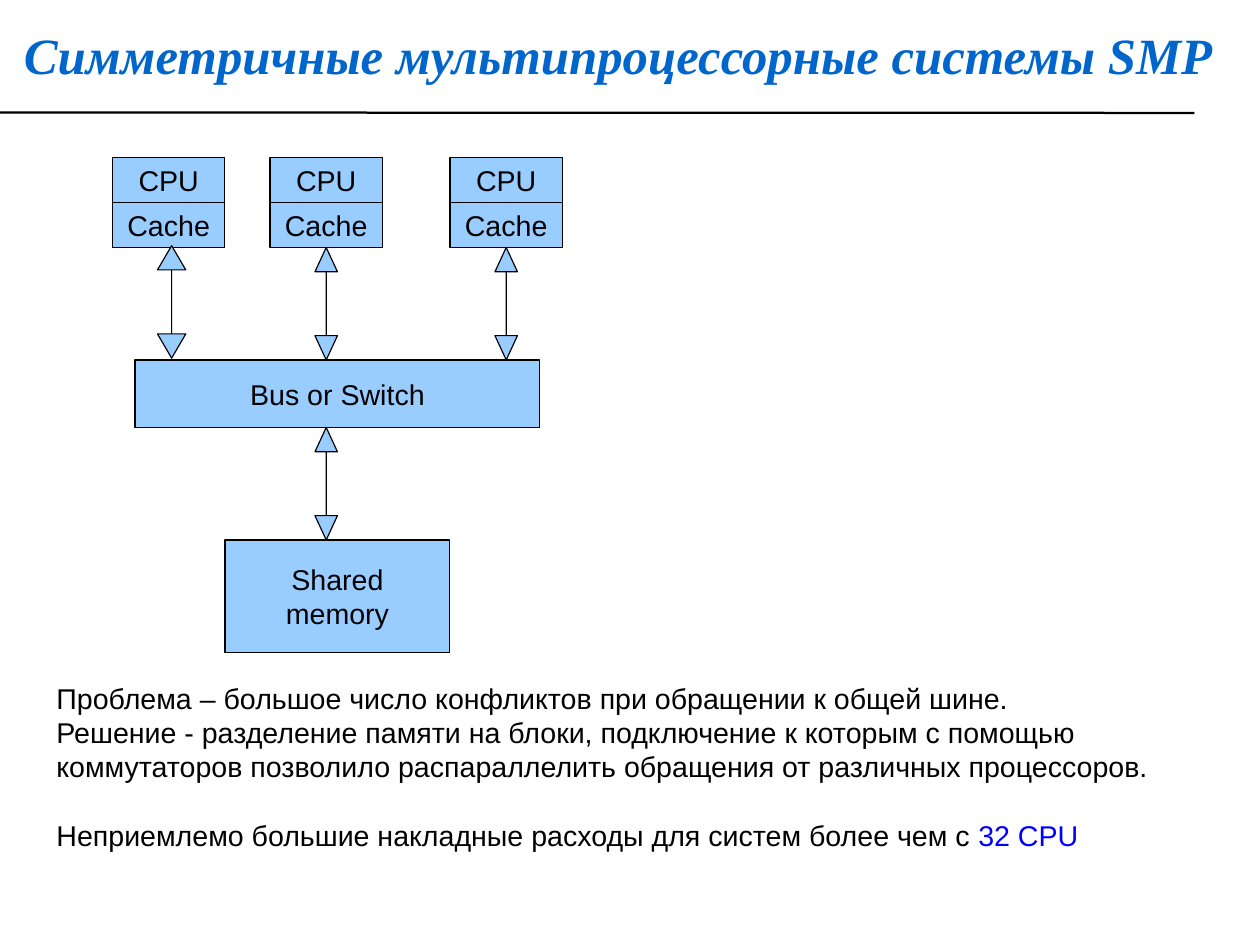
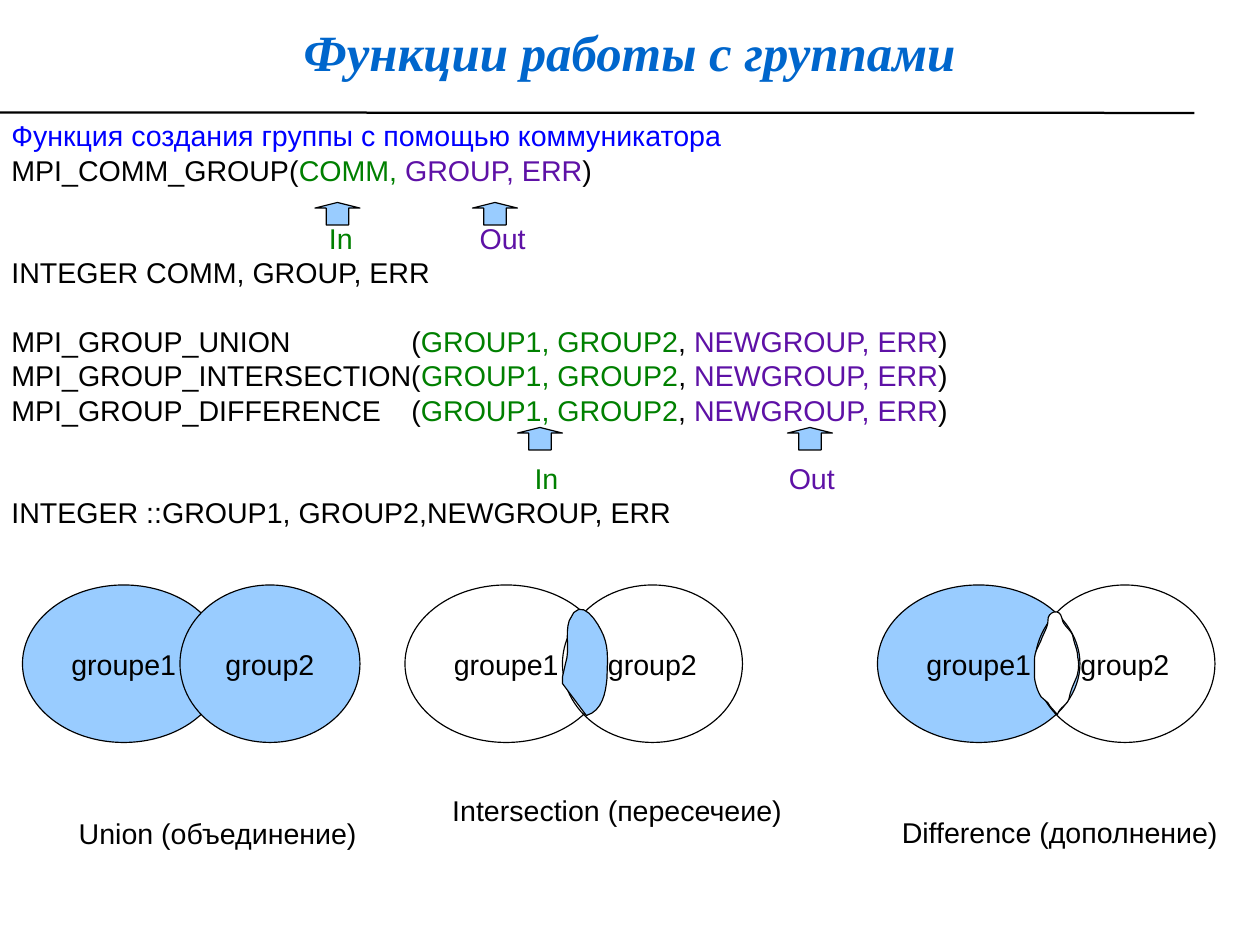
from lxml import etree
from pptx import Presentation
from pptx import util as u
from pptx.dml import color as dml
from pptx.enum import shapes as es, text as et
from pptx.oxml import ns

COLORS = {"title": "0066CC", "fill": "99CCFF", "ink": "000000", "paper": "FFFFFF",
          "accent": "0000FF", "input": "008000", "output": "5E11A6"}
BODY_FONT, TITLE_FONT = "Arial", "Times New Roman"
BODY_SIZE, TITLE_SIZE = 18, 32
LINE_GAP = 21.6
TAB_STEP = 1.27
SHAPE = es.MSO_SHAPE

INTERSECTION_LENS = (
    (4.03, 2.9),
    [((4.39, 2.8), (4.46, 2.39), (4.49, 2.06)),
     ((4.49, 1.76), (4.54, 1.43), (4.41, 1.12)),
     ((4.31, 0.87), (3.9, 0.16), (3.65, 0.79)),
     ((3.55, 1.1), (3.67, 1.43), (3.57, 1.73))],
    [(3.5, 2.04), (3.5, 2.19)])
DIFFERENCE_LENS = (
    (4, 2.88),
    [((4.05, 2.7), (4.25, 2.67), (4.27, 2.47)),
     ((4.3, 2.32), (4.38, 2.16), (4.43, 2.04)),
     ((4.48, 1.88), (4.48, 1.73), (4.45, 1.6)),
     ((4.45, 1.45), (4.38, 1.33), (4.35, 1.17)),
     ((4.33, 1), (4.12, 0.92), (4.1, 0.74)),
     ((4.05, 0.49), (3.77, 0.61), (3.79, 0.79)),
     ((3.79, 0.94), (3.69, 1.07), (3.64, 1.22)),
     ((3.59, 1.35), (3.49, 1.48), (3.49, 1.66)),
     ((3.49, 1.78), (3.49, 1.94), (3.49, 2.06)),
     ((3.51, 2.21), (3.56, 2.37), (3.64, 2.49))],
    [(3.79, 2.62), (3.84, 2.7)])


def rgb(name):
    return dml.RGBColor.from_string(COLORS[name])


def cm(*lengths):
    return [u.Cm(length) for length in lengths]


def style_font(font, size, name, color):
    font.size = u.Pt(size)
    font.name = name
    font.color.rgb = rgb(color)


def write_lines(shape, lines, align=et.PP_ALIGN.LEFT):
    frame = shape.text_frame
    for index, (spans, gap) in enumerate(lines):
        para = frame.paragraphs[0] if index == 0 else frame.add_paragraph()
        props = para._p.get_or_add_pPr()
        props.set("marL", "0")
        props.set("indent", "0")
        props.set("defTabSz", str(int(u.Cm(TAB_STEP))))
        etree.SubElement(props, ns.qn("a:buNone"))
        para.alignment = align
        para.line_spacing = 1.0
        para.space_before = u.Pt(gap)
        for words, color in spans:
            span = para.add_run()
            span.text = words
            style_font(span.font, BODY_SIZE, BODY_FONT, color)


def plain(words, color="ink", gap=0):
    return [(words, color)], gap


def add_figure(page, kind, box, fill="fill", label=""):
    return finish(page.shapes.add_shape(kind, *cm(*box)), fill, label)


def finish(shape, fill, label=""):
    shape.shadow.inherit = False
    if fill:
        shape.fill.solid()
        shape.fill.fore_color.rgb = rgb(fill)
    else:
        shape.fill.background()
    shape.line.color.rgb = rgb("ink")
    shape.line.width = u.Pt(0.75)
    if label:
        shape.text_frame.word_wrap = False
        shape.text_frame.vertical_anchor = et.MSO_ANCHOR.MIDDLE
        write_lines(shape, [plain(line) for line in label.split("\n")], et.PP_ALIGN.CENTER)
    return shape


def add_note(page, left, top, width, words, color="ink"):
    note = page.shapes.add_textbox(*cm(left, top, width, 1.02))
    note.text_frame.word_wrap = False
    write_lines(note, [plain(words, color)])


def add_page(deck, heading, left, top):
    page = deck.slides.add_slide(deck.slide_layouts[1])
    title = page.shapes.title
    title.left, title.top, title.width, title.height = cm(left, top, 27.5, 2.08)
    frame = title.text_frame
    frame.text = heading
    frame.auto_size = et.MSO_AUTO_SIZE.NONE
    frame.vertical_anchor = et.MSO_ANCHOR.MIDDLE
    frame.margin_left = frame.margin_right = frame.margin_top = frame.margin_bottom = 0
    para = frame.paragraphs[0]
    para.alignment = et.PP_ALIGN.CENTER
    para.line_spacing = 1.16
    font = para.runs[0].font
    style_font(font, TITLE_SIZE, TITLE_FONT, "title")
    font.bold = font.italic = True

    rule = page.shapes.add_connector(es.MSO_CONNECTOR.STRAIGHT, *cm(0, 2.5, 26.54, 2.51))
    rule.line.color.rgb = rgb("ink")
    rule.line.width = u.Pt(1.42)
    etree.SubElement(rule._element.spPr, ns.qn("a:effectLst"))
    return page


def fill_body(page, box, lines):
    body = page.placeholders[1]
    body.left, body.top, body.width, body.height = cm(*box)
    body.text_frame.auto_size = et.MSO_AUTO_SIZE.NONE
    write_lines(body, lines)


def add_double_arrow(page, left, top, width=0.5):
    arrow = add_figure(page, SHAPE.UP_DOWN_ARROW, (left, top, width, 2.5))
    guides = arrow._element.spPr.find(ns.qn("a:prstGeom")).find(ns.qn("a:avLst"))
    for guide in list(guides):
        guides.remove(guide)
    for name, share in (("adj1", 0), ("adj2", 0.54 / width)):
        etree.SubElement(guides, ns.qn("a:gd"), name=name, fmla=f"val {round(share * 100000)}")


def draw_smp(page, left, top):
    for offset in (0, 3.5, 7.5):
        for row, label in enumerate(("CPU", "Cache")):
            add_figure(page, SHAPE.RECTANGLE, (left + offset, top + row, 2.5, 1), label=label)
    add_figure(page, SHAPE.RECTANGLE, (left + 0.5, top + 4.5, 9, 1.5), label="Bus or Switch")
    add_figure(page, SHAPE.RECTANGLE, (left + 2.5, top + 8.5, 5, 2.5), label="Shared\nmemory")
    add_double_arrow(page, left + 1, top + 1.96, 0.63)
    for x, y in ((4.5, 2), (8.5, 2), (4.5, 6)):
        add_double_arrow(page, left + x, top + y)


def curve_points(start, curve, steps=8):
    anchors = (start, *curve)
    for step in range(1, steps + 1):
        t = step / steps
        weights = ((1 - t) ** 3, 3 * t * (1 - t) ** 2, 3 * t ** 2 * (1 - t), t ** 3)
        yield tuple(sum(w * anchor[axis] for w, anchor in zip(weights, anchors))
                    for axis in (0, 1))


def add_lens(page, left, top, outline, fill):
    start, curves, corners = outline
    points = [start]
    for curve in curves:
        points.extend(curve_points(points[-1], curve))
    points = [cm(left + x, top + y) for x, y in points + corners]
    builder = page.shapes.build_freeform(*points[0], scale=1.0)
    builder.add_line_segments(points[1:], close=True)
    finish(builder.convert_to_shape(), fill)


def draw_venn(page, left, top, fills, lens, caption, caption_box):
    sets = (("groupe1", 0, 4.5), ("group2", 3.5, 4))
    for (label, offset, width), fill in zip(sets, fills):
        add_figure(page, SHAPE.OVAL, (left + offset, top, width, 3.5), fill, label)
    if lens:
        add_lens(page, left, top, *lens)
    x, y, width = caption_box
    add_note(page, left + x, top + y, width, caption)


def draw_directions(page, arrow_top, label_top, columns):
    names = (("In", "input"), ("Out", "output"))
    for (word, color), (arrow_left, label_left) in zip(names, columns):
        arrow = add_figure(page, SHAPE.UP_ARROW, (arrow_left, arrow_top, 1, 0.5))
        arrow.adjustments[1] = 0.25
        add_note(page, label_left, label_top, 1.7, word, color)


def group_call(name, tabs=0, gap=0):
    return [(name + "\t" * tabs + "(", "ink"), ("GROUP1, GROUP2", "input"), (", ", "ink"),
            ("NEWGROUP, ERR", "output"), (")", "ink")], gap


def build_smp_page(deck):
    page = add_page(deck, "Симметричные мультипроцессорные системы SMP", 0, 0.06)
    draw_smp(page, 2.5, 3.5)
    fill_body(page, (1, 15, 26, 4.78), [
        plain("Проблема – большое число конфликтов при обращении к общей шине."),
        plain("Решение - разделение памяти на блоки, подключение к которым с помощью "
              "коммутаторов позволило распараллелить обращения от различных процессоров."),
        ([("Неприемлемо большие накладные расходы для систем более чем с ", "ink"),
          ("32 CPU", "accent")], LINE_GAP),
    ])


def build_groups_page(deck):
    page = add_page(deck, "Функции работы с группами", 0.25, 0)
    fill_body(page, (0, 2.5, 28, 9.5), [
        plain("Функция создания группы с помощью коммуникатора", "accent"),
        ([("MPI_COMM_GROUP(", "ink"), ("COMM, ", "input"),
          ("GROUP, ERR", "output"), (")", "ink")], 0),
        plain("INTEGER COMM, GROUP, ERR", gap=2 * LINE_GAP),
        group_call("MPI_GROUP_UNION", tabs=3, gap=LINE_GAP),
        group_call("MPI_GROUP_INTERSECTION"),
        group_call("MPI_GROUP_DIFFERENCE", tabs=1),
        plain("INTEGER ::GROUP1, GROUP2,NEWGROUP, ERR", gap=2 * LINE_GAP),
    ])
    draw_directions(page, 4.5, 4.78, ((7, 7.06), (10.5, 10.41)))
    draw_directions(page, 9.5, 10.11, ((11.5, 11.63), (17.5, 17.28)))
    draw_venn(page, 0.5, 13, ("fill", "fill"), None, "Union (объединение)", (1, 5, 6.7))
    draw_venn(page, 9, 13, (None, None), (INTERSECTION_LENS, "fill"),
              "Intersection (пересечеие)", (0.8, 4.5, 7.85))
    draw_venn(page, 19.5, 13, ("fill", None), (DIFFERENCE_LENS, "paper"),
              "Difference (дополнение)", (0.29, 4.98, 7.55))


def main():
    deck = Presentation()
    deck.slide_width, deck.slide_height = cm(28, 21)
    build_smp_page(deck)
    build_groups_page(deck)
    deck.save("out.pptx")


if __name__ == "__main__":
    main()
